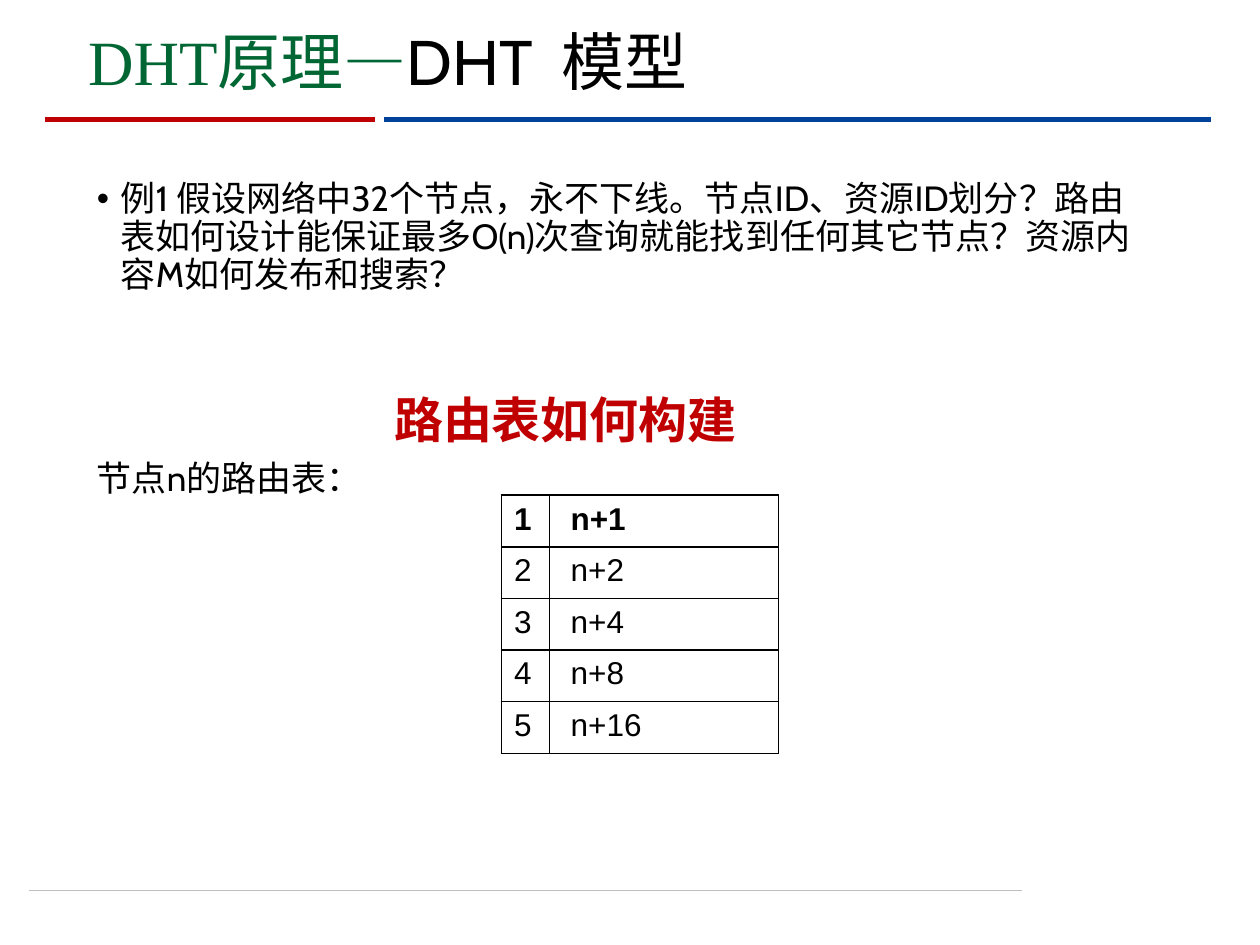
import pptx
import pptx.util
import pptx.dml.color
import pptx.enum.shapes
import pptx.enum.text
import pptx.oxml.ns
from lxml import etree

Inches, Pt = pptx.util.Inches, pptx.util.Pt
ANCHOR = pptx.enum.text.MSO_ANCHOR
qn = pptx.oxml.ns.qn
BLACK, RED, BLUE, GREEN, GREY = "000000", "C00000", "004299", "006633", "BFBFBF"
CJK = "Noto Sans CJK SC"


def color(value):
    return pptx.dml.color.RGBColor.from_string(value)


class SlideBuilder:
    body = {"name": "Cabin", "size": Pt(20), "bold": False}

    def __init__(self, slide):
        self.slide = slide

    def line(self, x1, x2, y, ink, width):
        rule = self.slide.shapes.add_connector(
            pptx.enum.shapes.MSO_CONNECTOR.STRAIGHT,
            Inches(x1), Inches(y), Inches(x2), Inches(y))
        rule.line.color.rgb = color(ink)
        rule.line.width = Pt(width)
        etree.SubElement(rule._element.spPr, qn("a:effectLst"))

    def span(self, para, text, ink, **style):
        span = para.add_run()
        span.text = text
        for key, value in {**self.body, **style}.items():
            setattr(span.font, key, value)
        span.font.color.rgb = color(ink)
        east_asian = etree.SubElement(span._r.get_or_add_rPr(), qn("a:ea"))
        east_asian.set("typeface", CJK)
        return span

    def text(self, left, top, width, height, **frame_style):
        box = self.slide.shapes.add_textbox(
            Inches(left), Inches(top), Inches(width), Inches(height))
        for key, value in {"word_wrap": True, **frame_style}.items():
            setattr(box.text_frame, key, value)
        return box.text_frame.paragraphs[0]

    def bullet(self, para, indent):
        properties = para._p.get_or_add_pPr()
        properties.set("marL", str(Inches(indent)))
        properties.set("indent", str(-Inches(indent)))
        etree.SubElement(properties, qn("a:buFont")).set("typeface", "Arial")
        etree.SubElement(properties, qn("a:buChar")).set("char", "•")

    def border(self, cell):
        properties = cell._tc.get_or_add_tcPr()
        for index, side in enumerate(("lnL", "lnR", "lnT", "lnB")):
            edge = etree.Element(qn("a:" + side), w=str(Pt(1)))
            fill = etree.SubElement(edge, qn("a:solidFill"))
            etree.SubElement(fill, qn("a:srgbClr")).set("val", BLACK)
            properties.insert(index, edge)

    def table(self, left, top, widths, row_height, rows):
        table = self.slide.shapes.add_table(
            len(rows), len(widths), Inches(left), Inches(top),
            Inches(sum(widths)), Inches(row_height * len(rows))).table
        for column, width in zip(table.columns, widths):
            column.width = Inches(width)
        for r, row in enumerate(rows):
            for c, text in enumerate(row):
                cell = table.cell(r, c)
                cell.fill.solid()
                cell.fill.fore_color.rgb = color("FFFFFF")
                self.span(cell.text_frame.paragraphs[0], text, BLACK,
                          name="Arial", size=Pt(18), bold=r == 0)
                self.border(cell)


def main():
    deck = pptx.Presentation()
    deck.slide_width, deck.slide_height = Inches(10), Inches(7.5)
    page = SlideBuilder(deck.slides.add_slide(deck.slide_layouts[6]))

    # Header and footer rules
    page.line(0.23, 8.11, 7.07, GREY, 0.5)
    page.line(3.05, 9.61, 0.95, BLUE, 3)
    page.line(0.36, 2.98, 0.95, RED, 3)

    # Title
    title = page.text(0.7, 0.16, 6.86, 0.62, vertical_anchor=ANCHOR.BOTTOM,
                      margin_left=0, margin_right=0, margin_top=0,
                      margin_bottom=0)
    for text, ink, font in (("DHT", GREEN, "Times New Roman"),
                            ("原理", GREEN, CJK),
                            ("—", GREEN, "Cabin"),
                            ("DHT  模型", BLACK, "Cabin")):
        page.span(title, text, ink, name=font, size=Pt(36))

    # Example question
    question = page.text(0.67, 1.39, 8.62, 1.1)
    page.bullet(question, 0.19)
    question.line_spacing = 0.9
    page.span(question, "例1 假设网络中32个节点，永不下线。节点ID、资源ID划分？"
              "路由表如何设计能保证最多O(n)次查询就能找到任何其它节点？"
              "资源内容M如何发布和搜索？", BLACK)

    # Routing table heading and label
    heading = page.text(3.03, 3.04, 2.96, 0.57, word_wrap=False)
    page.span(heading, "路由表如何构建", RED,
              name="Arial", size=Pt(28), bold=True)
    label = page.text(0.67, 3.61, 3, 0.4)
    label.line_spacing = 0.9
    page.span(label, "节点n的路由表：", BLACK)

    # Each entry points twice as far as the one before
    page.table(3.98, 3.93, (0.38, 1.82), 0.41,
               [(str(i + 1), f" n+{2 ** i}") for i in range(5)])

    deck.save("out.pptx")


if __name__ == "__main__":
    main()
